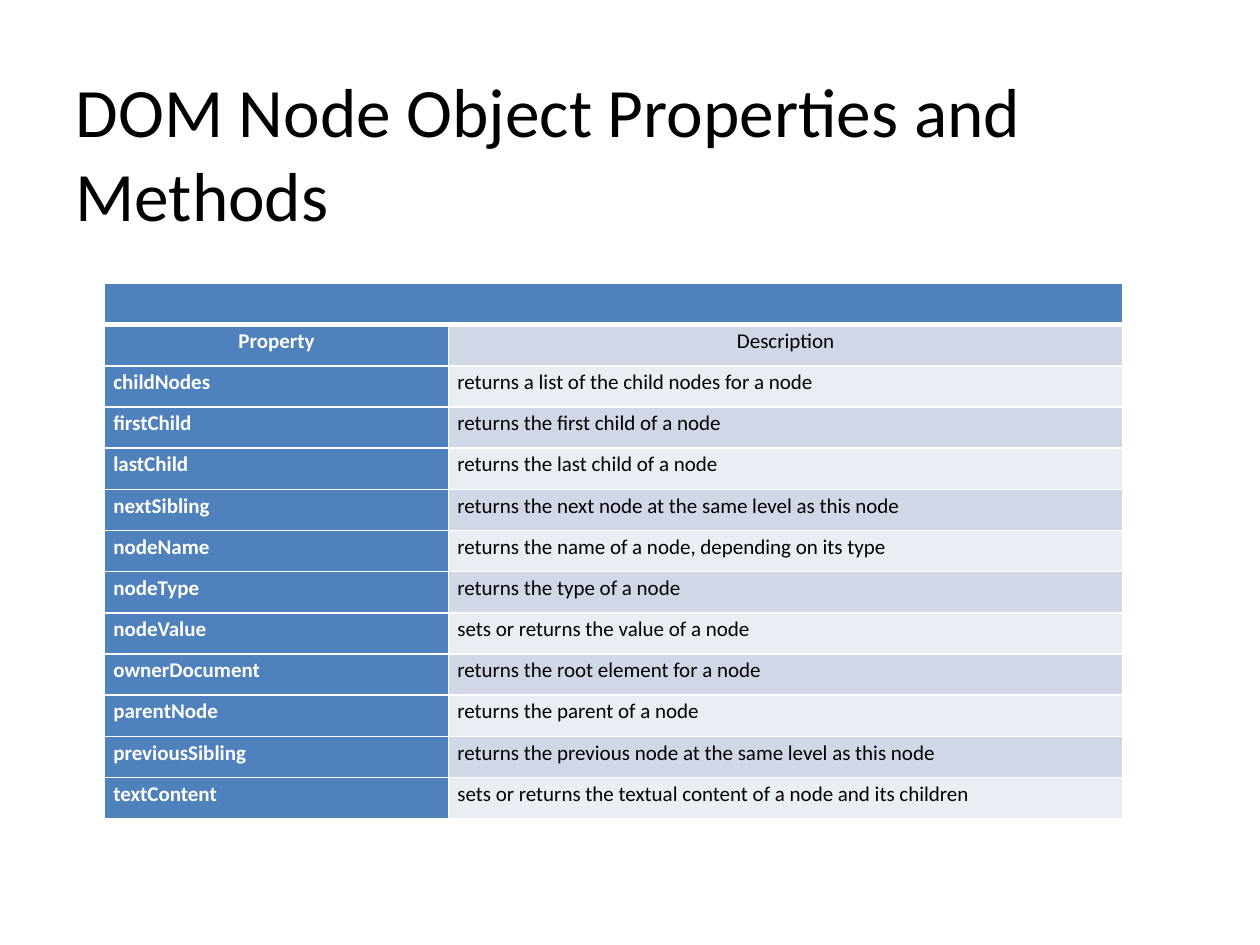
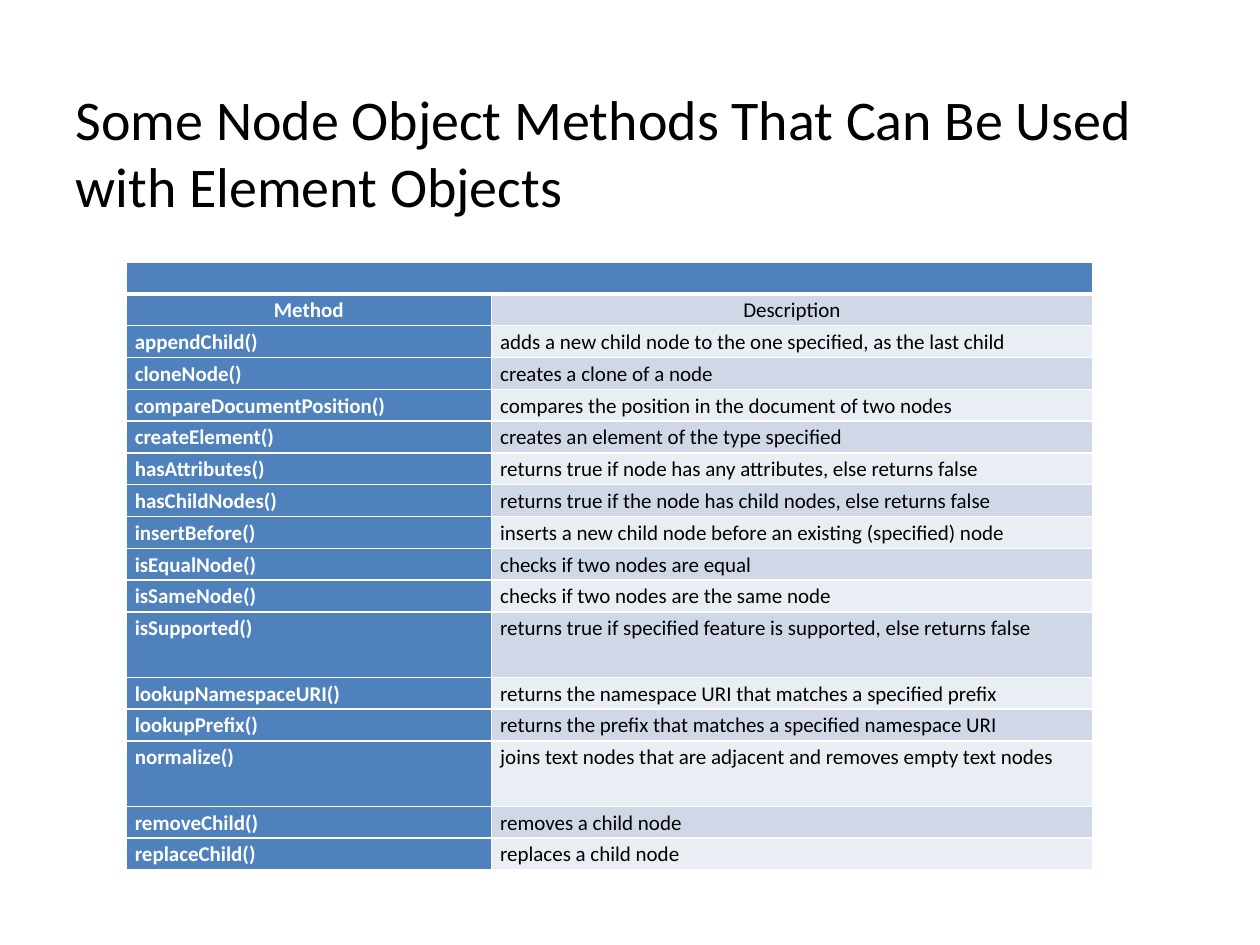
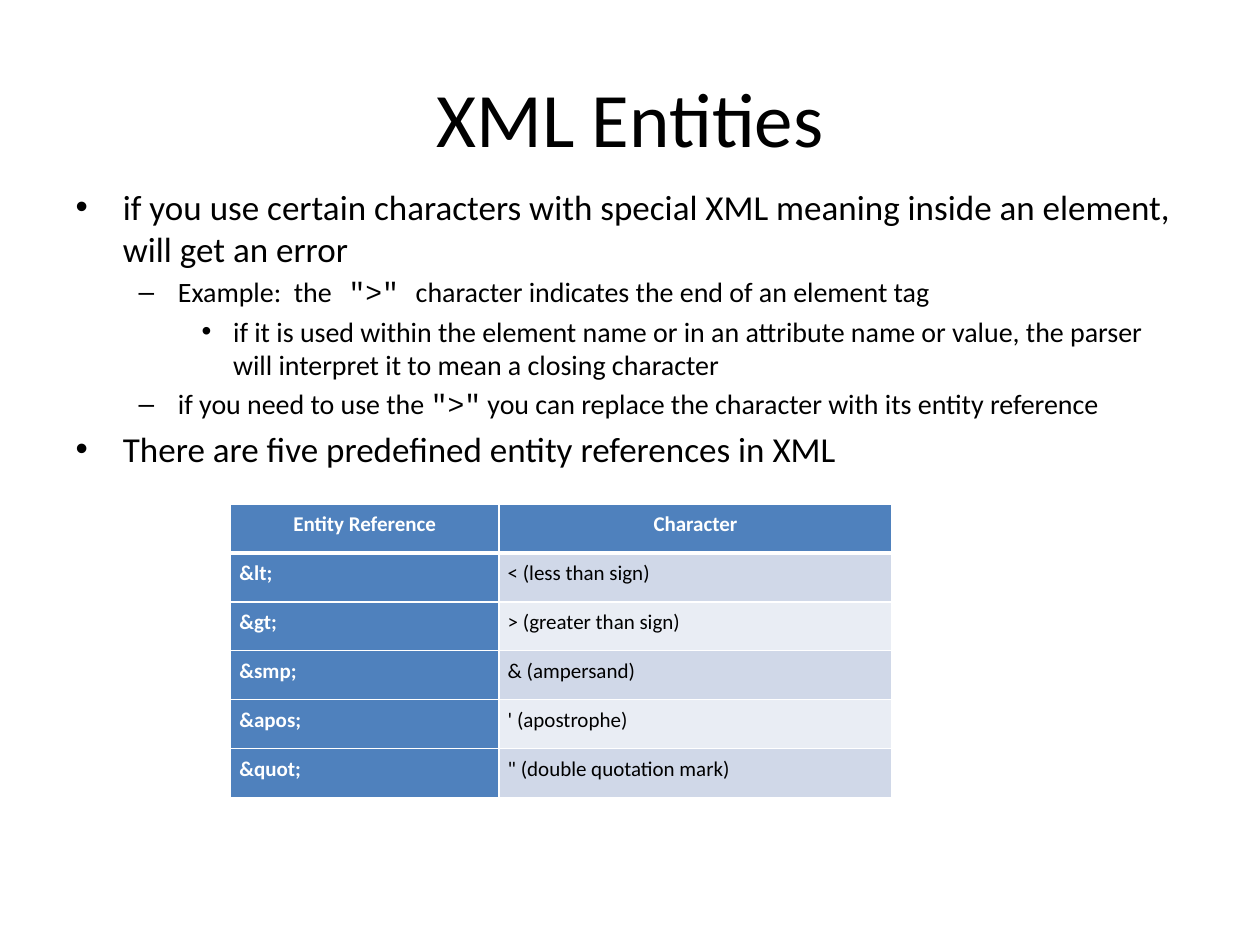
from lxml import etree
from pptx import Presentation
from pptx.dml.color import RGBColor
from pptx.enum.text import MSO_ANCHOR, MSO_AUTO_SIZE, PP_ALIGN
from pptx.oxml.ns import qn
from pptx.util import Inches, Pt

COLORS = {"header": "4F81BD", "band_dark": "D0D8E8", "band_light": "E9EDF4",
          "white": "FFFFFF", "black": "000000"}
FONT = "Calibri"
CODE_FONT = "Courier New"
TITLE_ONLY, TITLE_AND_CONTENT = 5, 1

NODE_PROPERTIES = [
    ("", ""),
    ("Property", "Description"),
    ("childNodes", "returns a list of the child nodes for a node"),
    ("firstChild", "returns the first child of a node"),
    ("lastChild", "returns the last child of a node"),
    ("nextSibling", "returns the next node at the same level as this node"),
    ("nodeName", "returns the name of a node, depending on its type"),
    ("nodeType", "returns the type of a node"),
    ("nodeValue", "sets or returns the value of a node"),
    ("ownerDocument", "returns the root element for a node"),
    ("parentNode", "returns the parent of a node"),
    ("previousSibling", "returns the previous node at the same level as this node"),
    ("textContent", "sets or returns the textual content of a node and its children"),
]
NODE_METHODS = [
    ("", ""),
    ("Method", "Description"),
    ("appendChild()", "adds a new child node to the one specified, as the last child"),
    ("cloneNode()", "creates a clone of a node"),
    ("compareDocumentPosition()", "compares the position in the document of two nodes"),
    ("createElement()", "creates an element of the type specified"),
    ("hasAttributes()", "returns true if node has any attributes, else returns false"),
    ("hasChildNodes()", "returns true if the node has child nodes, else returns false"),
    ("insertBefore()", "inserts a new child node before an existing (specified) node"),
    ("isEqualNode()", "checks if two nodes are equal"),
    ("isSameNode()", "checks if two nodes are the same node"),
    ("isSupported()", "returns true if specified feature is supported, else returns false"),
    ("lookupNamespaceURI()", "returns the namespace URI that matches a specified prefix"),
    ("lookupPrefix()", "returns the prefix that matches a specified namespace URI"),
    ("normalize()", "joins text nodes that are adjacent and removes empty text nodes"),
    ("removeChild()", "removes a child node"),
    ("replaceChild()", "replaces a child node"),
]
ENTITIES = [
    ("Entity Reference", "Character"),
    ("&lt;", "< (less than sign)"),
    ("&gt;", "> (greater than sign)"),
    ("&smp;", "& (ampersand)"),
    ("&apos;", "' (apostrophe)"),
    ("&quot;", "\" (double quotation mark)"),
]
BULLETS = [
    (0, 20, [("if you use certain characters with special XML meaning inside an element, "
              "will get an error", FONT)]),
    (1, 16, [("Example:  the", FONT), (" \">\" ", CODE_FONT),
             ("character indicates the end of an element tag", FONT)]),
    (2, 16, [("if it is used within the element name or in an attribute name or value, "
              "the parser will interpret it to mean a closing character", FONT)]),
    (1, 16, [("if you need to use the ", FONT), ("\">\"", CODE_FONT),
             (" you can replace the character with its entity reference", FONT)]),
    (0, 20, [("There are five predefined entity references in XML", FONT)]),
]
SLIDES = [
    {"layout": TITLE_ONLY, "title": "DOM Node Object Properties and Methods",
     "title_top": 0.58, "title_size": 39.6, "align": PP_ALIGN.LEFT,
     "rows": NODE_PROPERTIES, "left": 0.83, "top": 2.25, "height": 4.25,
     "columns": (2.73, 5.35), "tall_rows": {}, "line_spacing": 1.15, "gap": 0},
    {"layout": TITLE_ONLY,
     "title": "Some Node Object Methods That Can Be Used with Element Objects",
     "title_top": 0.58, "title_size": 32, "align": PP_ALIGN.LEFT,
     "rows": NODE_METHODS, "left": 1, "top": 2.08, "height": 4.83,
     "columns": (2.9, 4.77), "tall_rows": {11: 0.52, 14: 0.52},
     "line_spacing": 1.15, "gap": 0},
    {"layout": TITLE_AND_CONTENT, "title": "XML Entities",
     "title_top": 0.3, "title_size": 44, "align": PP_ALIGN.CENTER,
     "rows": ENTITIES, "left": 1.83, "top": 4, "height": 2.33,
     "columns": (2.13, 3.12), "tall_rows": {}, "line_spacing": Pt(19), "gap": 6},
]


def style_run(run, size, color, font=FONT, bold=False):
    run.font.name = font
    run.font.size = Pt(size)
    run.font.bold = bold
    run.font.color.rgb = RGBColor.from_string(COLORS[color])


def style_cell(cell, fill, top_width, bottom_width):
    properties = cell._tc.get_or_add_tcPr()
    for side, width in (("L", 1), ("R", 1), ("T", top_width), ("B", bottom_width)):
        line = etree.SubElement(properties, qn(f"a:ln{side}"), w=str(Pt(width)))
        solid = etree.SubElement(line, qn("a:solidFill"))
        etree.SubElement(solid, qn("a:srgbClr"), val=COLORS["white"])
    cell.fill.solid()
    cell.fill.fore_color.rgb = RGBColor.from_string(COLORS[fill])
    cell.margin_left = cell.margin_right = Inches(0.07)
    cell.margin_top = cell.margin_bottom = 0


presentation = Presentation()
presentation.slide_width = Inches(10)
presentation.slide_height = Inches(7.5)

for content in SLIDES:
    slide = presentation.slides.add_slide(presentation.slide_layouts[content["layout"]])
    title = slide.shapes.title
    title.left, title.top = Inches(0.5), Inches(content["title_top"])
    title.width, title.height = Inches(9), Inches(1.25)
    title.text_frame.text = content["title"]
    title.text_frame.auto_size = MSO_AUTO_SIZE.NONE
    title.text_frame.vertical_anchor = MSO_ANCHOR.MIDDLE
    title.text_frame.paragraphs[0].alignment = content["align"]
    style_run(title.text_frame.paragraphs[0].runs[0], content["title_size"], "black")

    rows = content["rows"]
    tall_rows = content["tall_rows"]
    row_height = (content["height"] - sum(tall_rows.values())) / (len(rows) - len(tall_rows))
    table = slide.shapes.add_table(
        len(rows), 2, Inches(content["left"]), Inches(content["top"]),
        Inches(sum(content["columns"])), Inches(content["height"])).table
    for column, width in zip(table.columns, content["columns"]):
        column.width = Inches(width)

    heading_row = 0 if rows[0][0] else 1
    for row_index, row in enumerate(rows):
        table.rows[row_index].height = Inches(tall_rows.get(row_index, row_height))
        for column_index, text in enumerate(row):
            cell = table.cell(row_index, column_index)
            is_header = row_index == 0 or column_index == 0
            band = "band_dark" if row_index % 2 else "band_light"
            style_cell(cell, "header" if is_header else band,
                       3 if row_index == 1 else 1, 3 if row_index == 0 else 1)
            paragraph = cell.text_frame.paragraphs[0]
            if not text:
                etree.SubElement(paragraph._p, qn("a:endParaRPr"), sz="1200")
                continue
            paragraph.text = text
            paragraph.line_spacing = content["line_spacing"]
            paragraph.space_before = paragraph.space_after = Pt(content["gap"])
            if row_index == heading_row:
                paragraph.alignment = PP_ALIGN.CENTER
            style_run(paragraph.runs[0], 12, "white" if is_header else "black", bold=is_header)
    if heading_row == 1:
        table.cell(0, 0).merge(table.cell(0, 1))

body = slide.placeholders[1]
body.left, body.top = Inches(0.5), Inches(1.42)
body.width, body.height = Inches(9), Inches(5.28)
text_frame = body.text_frame
text_frame.auto_size = MSO_AUTO_SIZE.NONE
for index, (level, size, parts) in enumerate(BULLETS):
    paragraph = text_frame.add_paragraph() if index else text_frame.paragraphs[0]
    paragraph.level = level
    for text, font in parts:
        run = paragraph.add_run()
        run.text = text
        style_run(run, size, "black", font)

presentation.save("out.pptx")
